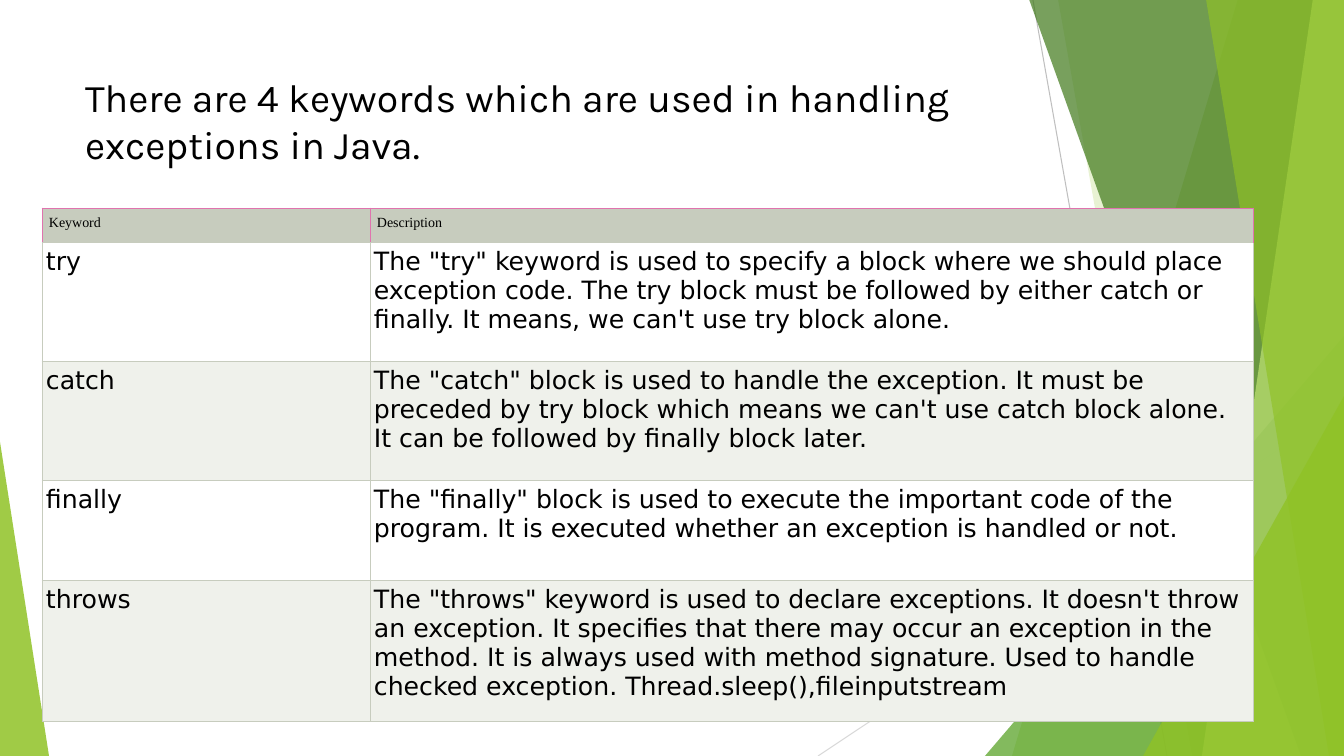
from lxml import etree
from pptx import Presentation
from pptx import util as u
from pptx.dml.color import RGBColor
from pptx.enum import shapes, text
from pptx.oxml import ns

PX = 9071.43  # EMU in one px
WIDE, HIGH = 1344, 756


def px(n):
    return u.Emu(round(n * PX))


def rgb(code):
    return RGBColor.from_string(code)


def put(obj, vals):
    for key, val in vals.items():
        setattr(obj, key, val)


def sub(node, tag, **attrs):
    return etree.SubElement(node, ns.qn(tag), **attrs)


class Page:
    green, black, white = "90C226", "000000", "FFFFFF"
    sage, pale, pink = "C7CCBE", "EFF1EB", "E073AE"

    def __init__(self, deck):
        self.slide = deck.slides.add_slide(deck.slide_layouts[5])
        self.shapes = self.slide.shapes

    def line(self, ends, color):
        rule = self.shapes.add_connector(
            shapes.MSO_CONNECTOR.STRAIGHT, *[px(n) for n in ends])
        rule.line.color.rgb = rgb(color)
        rule.line.width = u.Pt(0.75)
        sub(rule._element.spPr, "a:effectLst")

    def paint(self, shape, color, alpha):
        shape.shadow.inherit = False
        shape.line.fill.background()
        shape.fill.solid()
        shape.fill.fore_color.rgb = rgb(color)
        tint = shape._element.spPr.find(ns.qn("a:solidFill"))[0]
        sub(tint, "a:alpha", val=str(alpha * 1000))

    def facet(self, top, foot, color, alpha):
        """Fill from a slanted left edge to the slide's right edge."""
        pen = self.shapes.build_freeform(top, -1, scale=PX)
        pen.add_line_segments([(WIDE, -1), (WIDE, HIGH), (foot, HIGH)])
        self.paint(pen.convert_to_shape(), color, alpha)

    def wedge(self, box, tip, color, alpha):
        shape = self.shapes.add_shape(
            shapes.MSO_SHAPE.ISOSCELES_TRIANGLE, *[px(n) for n in box])
        shape.adjustments[0] = tip
        self.paint(shape, color, alpha)

    def label(self, frame, words, face, size):
        frame.text = words
        para = frame.paragraphs[0]
        para.alignment = text.PP_ALIGN.LEFT
        font = para.runs[0].font
        put(font, {"name": face, "size": u.Pt(size), "bold": False})
        font.color.rgb = rgb(self.black)

    def title(self, box, words):
        head = self.shapes.title
        put(head, dict(zip(("left", "top", "width", "height"), map(px, box))))
        put(head.text_frame, {
            "word_wrap": True, "auto_size": text.MSO_AUTO_SIZE.NONE,
            "vertical_anchor": text.MSO_ANCHOR.MIDDLE})
        self.label(head.text_frame, words, "Karla", 28)
        self.shapes._spTree.append(head._element)  # bring to front

    def cell(self, cell, words, fill, face, size, pad, edges):
        put(cell, {"margin_" + side: px(pad)
                   for side in ("left", "right", "top", "bottom")})
        self.label(cell.text_frame, words, face, size)
        props = cell._tc.get_or_add_tcPr()
        for side, color in zip("LRTB", edges):
            edge = sub(props, "a:ln" + side, w=str(u.Pt(0.75)))
            sub(sub(edge, "a:solidFill"), "a:srgbClr", val=color)
        cell.fill.solid()
        cell.fill.fore_color.rgb = rgb(fill)

    def table(self, left, top, cols, tall, rows):
        grid = self.shapes.add_table(
            len(rows), len(cols), px(left), px(top),
            px(sum(cols)), px(sum(tall))).table
        put(grid, {"first_row": False, "horz_banding": False})
        for col, wide in zip(grid.columns, cols):
            col.width = px(wide)
        for row, high in zip(grid.rows, tall):
            row.height = px(high)
        head = (self.sage, "Times New Roman", 10, 7, [self.pink] * 3 + [self.sage])
        for r, row in enumerate(rows):
            fill = self.white if r % 2 else self.pale
            body = (fill, "DejaVu Sans", 18, 4, [self.sage] * 4)
            for c, words in enumerate(row):
                self.cell(grid.cell(r, c), words, *(body if r else head))


ROWS = [
    ("Keyword", "Description"),
    ("try", "The \"try\" keyword is used to specify a block where we should "
     "place exception code. The try block must be followed by either catch "
     "or finally. It means, we can't use try block alone."),
    ("catch", "The \"catch\" block is used to handle the exception. It must be "
     "preceded by try block which means we can't use catch block alone. "
     "It can be followed by finally block later."),
    ("finally", "The \"finally\" block is used to execute the important code of "
     "the program. It is executed whether an exception is handled or not."),
    ("throws", "The \"throws\" keyword is used to declare exceptions. It doesn't "
     "throw an exception. It specifies that there may occur an exception in "
     "the method. It is always used with method signature. Used to handle "
     "checked exception. Thread.sleep(),fileinputstream"),
]


def main():
    deck = Presentation()
    put(deck, {"slide_width": px(WIDE), "slide_height": px(HIGH)})
    page = Page(deck)

    # Green backdrop, back to front
    page.line((1033, 0, 1167, HIGH), "BFBFBF")
    page.line((WIDE, 406, 818, HIGH), "D9D9D9")
    page.facet(1238, 1012, page.green, 30)
    page.facet(1058, 1192, page.green, 20)
    page.wedge((985, 336, 359, 420), 1, "54A021", 72)
    page.facet(1029, 1301, "3F7819", 70)
    page.facet(1313, 1202, "C0E474", 70)
    page.facet(1206, 1329, page.green, 65)
    page.wedge((1143, 396, 201, 360), 1, page.green, 80)
    page.wedge((0, 442, 49, 314), 0, page.green, 85)

    # Title and keyword table
    page.title((75, 68, 948, 105), "There are 4 keywords which are used in "
               "handling exceptions in Java.")
    page.table(42, 208, (328, 883), (35, 119, 119, 100, 141), ROWS)
    deck.save("out.pptx")


if __name__ == "__main__":
    main()
